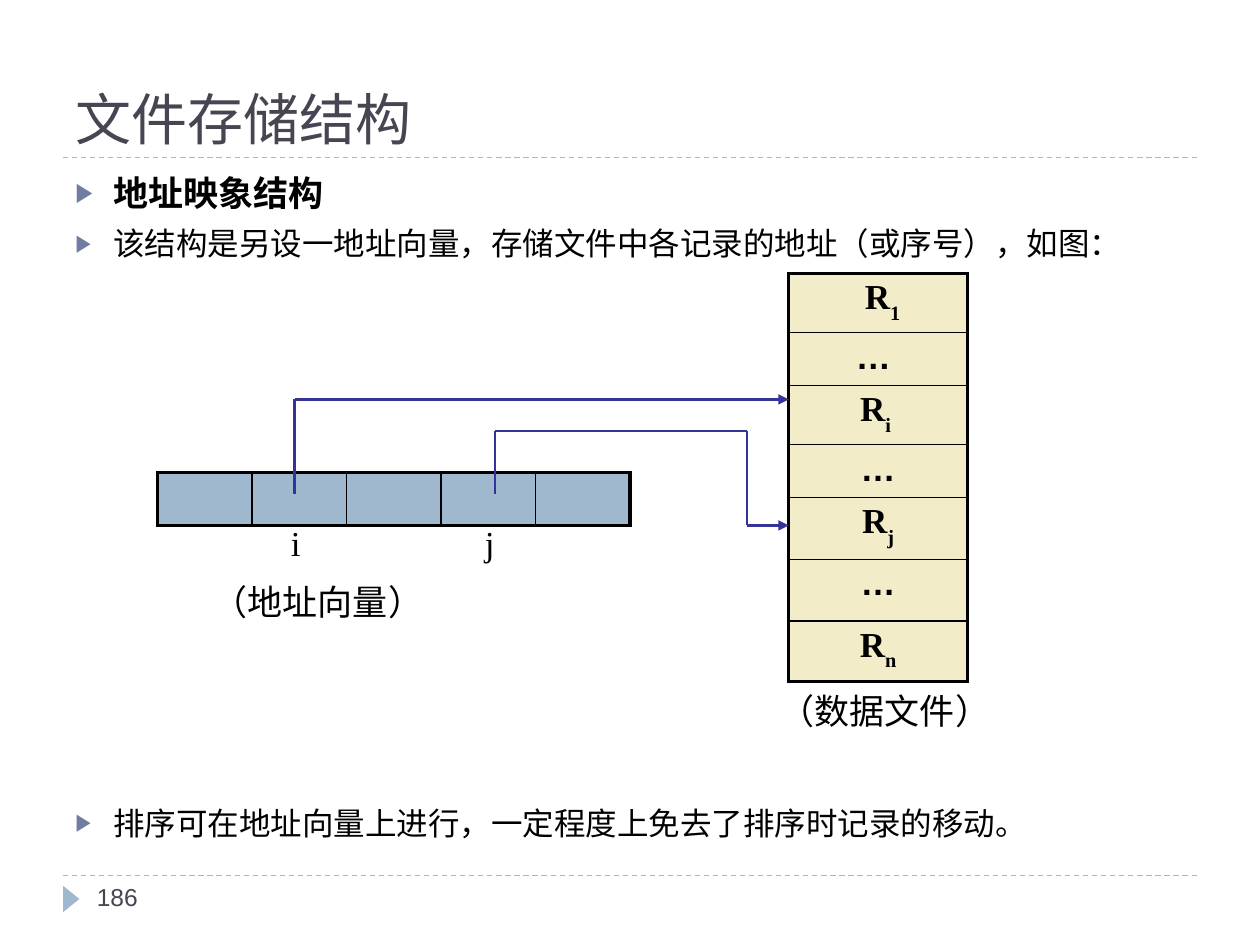
from dataclasses import dataclass
from itertools import pairwise

from lxml.etree import SubElement
from pptx import Presentation
from pptx.dml.color import RGBColor
from pptx.enum.dml import MSO_LINE
from pptx.enum.shapes import MSO_CONNECTOR, MSO_SHAPE
from pptx.enum.text import MSO_ANCHOR, PP_ALIGN
from pptx.oxml import parse_xml
from pptx.oxml.ns import nsdecls, qn
from pptx.util import Inches, Pt


@dataclass(frozen=True)
class Theme:
    ink: str = "000000"
    heading: str = "464653"
    accent: str = "9FB8CD"
    bullet: str = "727CA3"
    record: str = "F2EDC8"
    pointer: str = "333399"
    sans: str = "Arial"
    serif: str = "Times New Roman"
    cjk: str = "Noto Sans CJK SC"
    title: int = 32
    large: int = 20
    body: int = 18
    footer: int = 14
    outer_border: float = 2.25
    inner_border: float = 1


THEME = Theme()


def add_run(paragraph, text, size, font, color=THEME.ink, bold=False):
    run = paragraph.add_run()
    run.text = text
    run.font.size = Pt(size)
    run.font.bold = bold
    run.font.color.rgb = RGBColor.from_string(color)
    run.font.name = font
    if any(char >= "一" for char in text):
        SubElement(run.font._element, qn("a:ea"), typeface=THEME.cjk)
    return run


def add_line(start, end, color, width):
    line = slide.shapes.add_connector(
        MSO_CONNECTOR.STRAIGHT, *(Inches(value) for value in (*start, *end)))
    line.line.color.rgb = RGBColor.from_string(color)
    line.line.width = Pt(width)
    SubElement(line._element.spPr, qn("a:effectLst"))
    return line


prs = Presentation()
prs.slide_width, prs.slide_height = Inches(10), Inches(7.5)
slide = prs.slides.add_slide(prs.slide_layouts[6])

# Rules and page marker
for y in (6.95, 1.25):
    add_line((0.5, y), (9.5, y), THEME.accent, 0.75).line.dash_style = MSO_LINE.DASH

marker = slide.shapes.add_shape(
    MSO_SHAPE.ISOSCELES_TRIANGLE, Inches(0.46), Inches(7.07), Inches(0.21), Inches(0.13))
marker.rotation = 90
marker.shadow.inherit = False
marker.fill.solid()
marker.fill.fore_color.rgb = RGBColor.from_string(THEME.accent)
marker.line.fill.background()

# Title
title = slide.shapes.add_textbox(Inches(0.5), Inches(0.17), Inches(9), Inches(1.08)).text_frame
title.word_wrap = True
title.vertical_anchor = MSO_ANCHOR.BOTTOM
add_run(title.paragraphs[0], "文件存储结构", THEME.title, THEME.sans, THEME.heading)

# Bullets, each centred on its own height
bullets = [
    (1.53, "地址映象结构", THEME.large, THEME.serif, True),
    (1.93, "该结构是另设一地址向量，存储文件中各记录的地址（或序号），如图：",
     THEME.body, THEME.cjk, False),
    (6.53, "排序可在地址向量上进行，一定程度上免去了排序时记录的移动。",
     THEME.body, THEME.cjk, False),
]
for center, text, size, font, bold in bullets:
    frame = slide.shapes.add_textbox(
        Inches(0.5), Inches(center - 0.23), Inches(9), Inches(0.46)).text_frame
    frame.word_wrap = True
    frame.vertical_anchor = MSO_ANCHOR.MIDDLE
    paragraph = frame.paragraphs[0]
    add_run(paragraph, text, size, font, bold=bold)
    properties = paragraph._p.get_or_add_pPr()
    properties.set("marL", str(Inches(0.3)))
    properties.set("indent", str(Inches(-0.3)))
    color = SubElement(properties, qn("a:buClr"))
    SubElement(color, qn("a:srgbClr"), val=THEME.bullet)
    SubElement(properties, qn("a:buSzPct"), val="76000")
    SubElement(properties, qn("a:buFont"), typeface=THEME.sans)
    SubElement(properties, qn("a:buChar"), char="▶")

# Data file and address vector; a cell holds (text, subscript)
records = [(" R", "1"), ("… ", ""), ("R", "i "), ("…", ""), ("R", "j"), ("…", ""), ("R", "n")]
grids = [
    (6.26, 2.17, [1.42], [0.47, 0.42, 0.47, 0.42, 0.49, 0.49, 0.48], records, THEME.record),
    (1.25, 3.75, [0.75] * 5, [0.42], [("", "")] * 5, THEME.accent),
]
for left, top, widths, heights, contents, fill in grids:
    table = slide.shapes.add_table(
        len(heights), len(widths), Inches(left), Inches(top),
        Inches(sum(widths)), Inches(sum(heights))).table
    table.first_row = table.horz_banding = False
    for column, width in zip(table.columns, widths):
        column.width = Inches(width)
    for row, height in zip(table.rows, heights):
        row.height = Inches(height)
    for index, (text, subscript) in enumerate(contents):
        row, col = divmod(index, len(widths))
        cell = table.cell(row, col)
        cell.margin_top, cell.margin_bottom = Inches(0.04), 0
        cell.fill.solid()
        cell.fill.fore_color.rgb = RGBColor.from_string(fill)
        paragraph = cell.text_frame.paragraphs[0]
        paragraph.alignment = PP_ALIGN.CENTER
        if text:
            font = THEME.serif if subscript else THEME.sans
            add_run(paragraph, text, THEME.large, font, bold=True)
        if subscript:
            lowered = add_run(paragraph, subscript, THEME.large, THEME.serif, bold=True)
            lowered.font._element.set("baseline", "-30000")
        outer_edges = {"L": col == 0, "R": col == len(widths) - 1,
                       "T": row == 0, "B": row == len(heights) - 1}
        for position, (side, is_outer) in enumerate(outer_edges.items()):
            weight = THEME.outer_border if is_outer else THEME.inner_border
            cell._tc.get_or_add_tcPr().insert(position, parse_xml(
                f'<a:ln{side} {nsdecls("a")} w="{Pt(weight)}"><a:solidFill>'
                f'<a:srgbClr val="{THEME.ink}"/></a:solidFill></a:ln{side}>'))

# Pointers from vector cells to records
pointers = [
    [(2.34, 3.92), (2.34, 3.17), (6.26, 3.17)],
    [(3.93, 3.92), (3.93, 3.42), (5.93, 3.42), (5.93, 4.17), (6.26, 4.17)],
]
for corners in pointers:
    for start, end in pairwise(corners):
        segment = add_line(start, end, THEME.pointer, 1.5)
    SubElement(segment.line._get_or_add_ln(), qn("a:tailEnd"), type="triangle")

# Captions and page number
captions = [
    ("（数据文件）", 6.09, 5.42, 1.92, THEME.large, THEME.serif, THEME.ink),
    ("i", 2.21, 4.09, 0.4, THEME.large, THEME.serif, THEME.ink),
    ("j", 3.75, 4.09, 0.4, THEME.large, THEME.serif, THEME.ink),
    ("（地址向量）", 1.59, 4.56, 3.25, THEME.large, THEME.serif, THEME.ink),
    ("186", 0.67, 6.9, 2.17, THEME.footer, THEME.sans, THEME.heading),
]
for text, left, top, width, size, font, color in captions:
    frame = slide.shapes.add_textbox(
        Inches(left), Inches(top), Inches(width), Inches(0.43)).text_frame
    frame.word_wrap = True
    frame.vertical_anchor = MSO_ANCHOR.MIDDLE
    add_run(frame.paragraphs[0], text, size, font, color)

prs.save("out.pptx")
